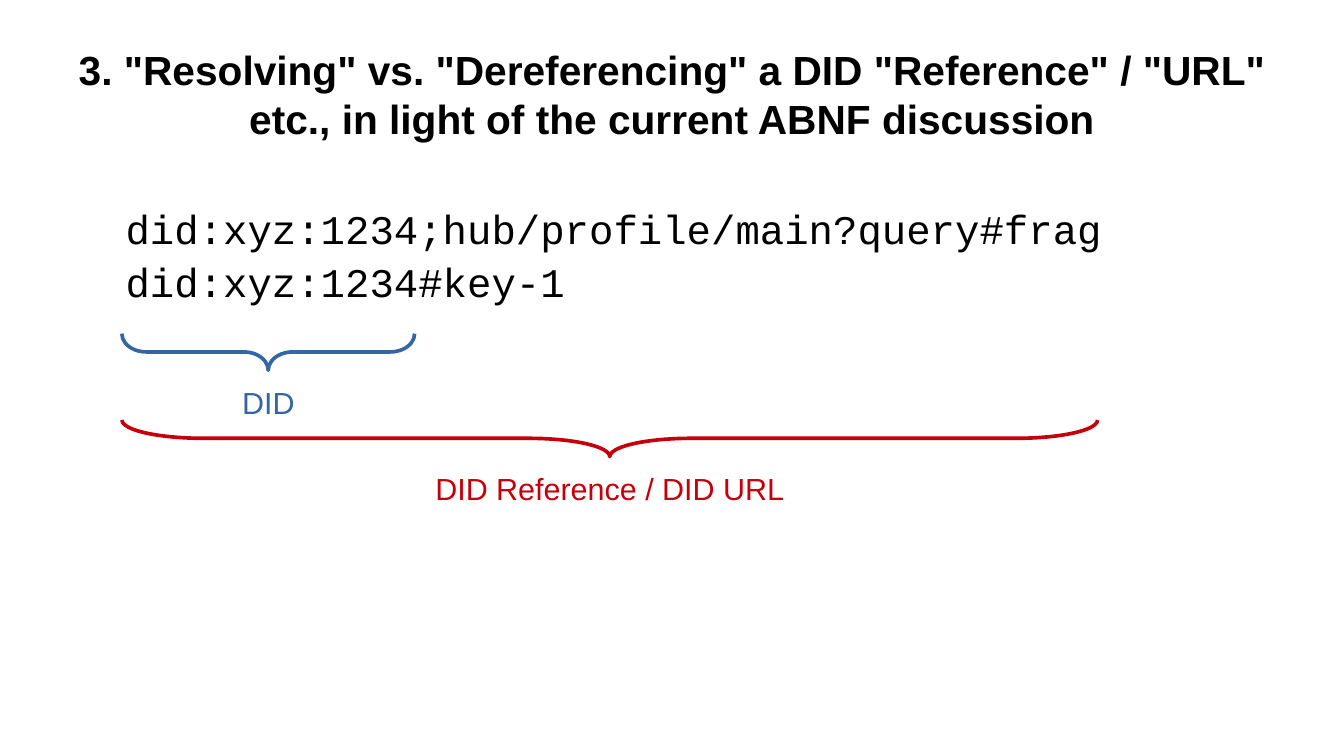
from pptx import Presentation
from pptx.dml.color import RGBColor
from pptx.enum.shapes import MSO_SHAPE
from pptx.enum.text import MSO_ANCHOR, PP_ALIGN
from pptx.util import Pt

BRACE = MSO_SHAPE.LEFT_BRACE
TOP, MIDDLE = MSO_ANCHOR.TOP, MSO_ANCHOR.MIDDLE
LEFT, CENTER = PP_ALIGN.LEFT, PP_ALIGN.CENTER

BLACK, BLUE, RED = "000000", "3465A4", "C5000B"
CHAR = 14.4  # width of one 24 pt Courier New character
START = 72  # left edge of the braces
DEPTH = 21.6  # height of a brace


def color(code):
    """Turn a hex string into a colour."""
    return RGBColor.from_string(code)


class Board:
    """Holds the style and the current slide."""

    def __init__(self, slide, sans="Arial", mono="Courier New"):
        """Keep the slide and its two fonts."""
        self.shapes = slide.shapes
        self.sans, self.mono = sans, mono

    def text(self, words, box, size, font, ink=BLACK, align=LEFT,
             anchor=TOP, bold=False, inset=(7.2, 3.6)):
        """Add a wrapped text box with one paragraph."""
        frame = self.shapes.add_textbox(*map(Pt, box)).text_frame
        frame.word_wrap = True
        frame.vertical_anchor = anchor
        frame.margin_left = frame.margin_right = Pt(inset[0])
        frame.margin_top = frame.margin_bottom = Pt(inset[1])
        para = frame.paragraphs[0]
        para.text = words
        para.alignment = align
        para.font.size, para.font.name = Pt(size), font
        para.font.bold = bold
        para.font.color.rgb = color(ink)

    def title(self, words):
        """Add the bold centred heading."""
        self.text(words, (39.6, 18, 714.24, 74.88), 24, self.sans,
                  align=CENTER, anchor=MIDDLE, bold=True, inset=(0, 0))

    def code(self, words, top):
        """Add one line of monospaced code."""
        self.text(words, (67, top, 732, 62), 24, self.mono)

    def brace(self, words, count, top, ink):
        """Add a brace under the first count characters, with its label."""
        span = count * CHAR
        mid = START + span / 2
        # The upright brace turns about its centre to lie flat.
        box = (mid - DEPTH / 2, top + DEPTH / 2 - span / 2, DEPTH, span)
        shape = self.shapes.add_shape(BRACE, *map(Pt, box))
        shape.rotation = 270
        shape.adjustments[0] = span / 12 / DEPTH
        shape.shadow.inherit = False
        shape.fill.background()
        shape.line.color.rgb = color(ink)
        shape.line.width = Pt(2.15)
        self.text(words, (mid - 120, top + 26, 240, 27.4), 18, self.sans,
                  ink, CENTER)


def main():
    """Build and save the slide."""
    deck = Presentation()
    deck.slide_width, deck.slide_height = Pt(793.44), Pt(446.4)
    board = Board(deck.slides.add_slide(deck.slide_layouts[6]))
    board.title('3. "Resolving" vs. "Dereferencing" a DID "Reference" / '
                '"URL" etc., in light of the current ABNF discussion')
    did = "did:xyz:1234"
    url = did + ";hub/profile/main?query#frag"
    board.code(url, 116.64)
    board.code(did + "#key-1", 148.32)
    board.brace("DID", len(did), 197, BLUE)
    board.brace("DID Reference / DID URL", len(url), 248, RED)
    deck.save("out.pptx")


main()
